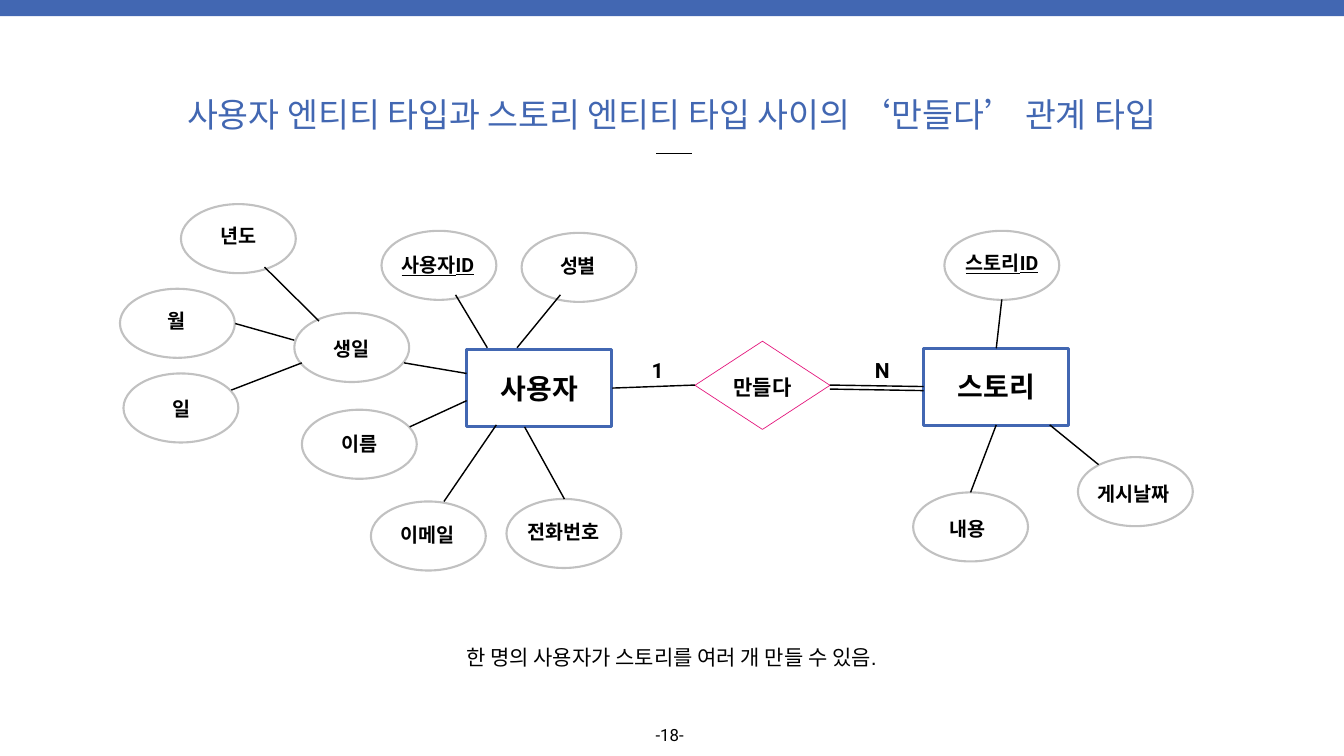
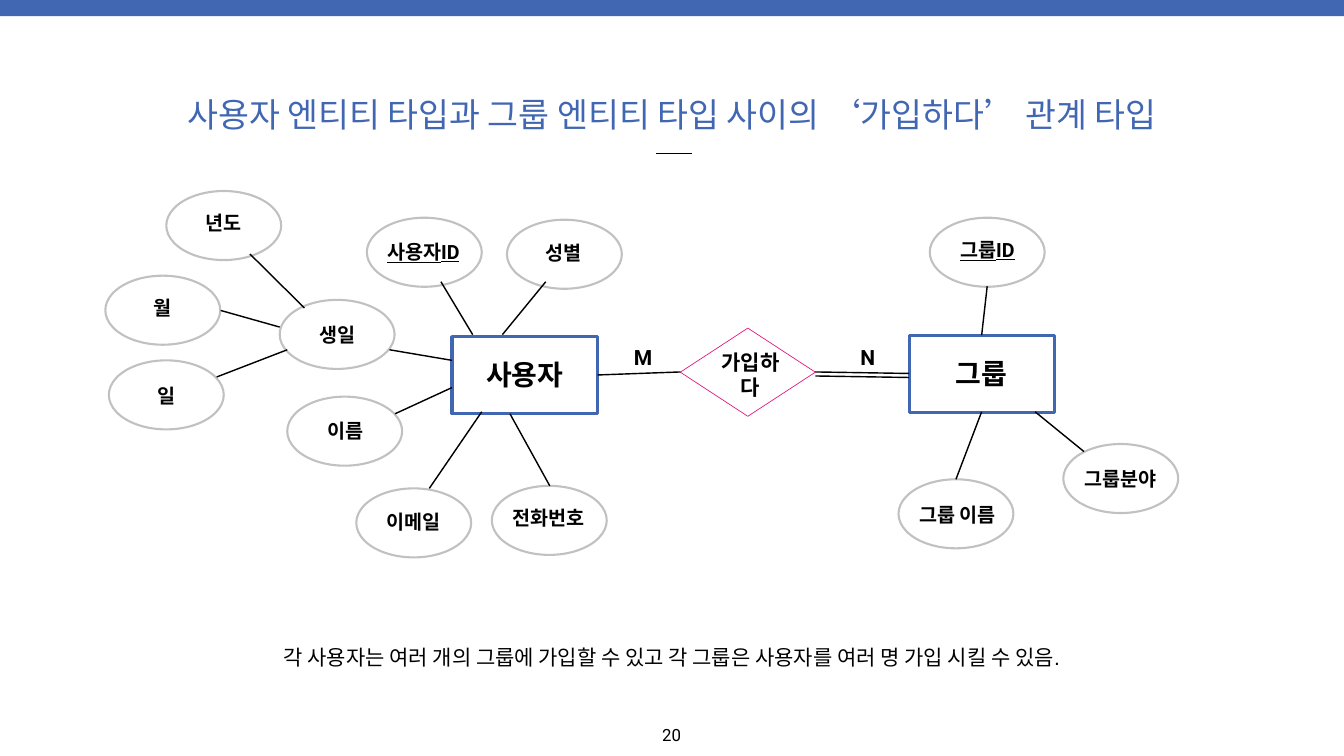
from collections import namedtuple

from lxml import etree
from pptx import Presentation
from pptx.dml.color import RGBColor
from pptx.enum.shapes import MSO_CONNECTOR, MSO_SHAPE as Preset
from pptx.enum.text import MSO_ANCHOR as Anchor, MSO_AUTO_SIZE as AutoSize, PP_ALIGN as Align
from pptx.oxml.ns import qn
from pptx.util import Cm, Pt

BLUE, PINK, GREY, BLACK, WHITE = "4267B2", "E4177D", "C1C1C1", "000000", "FFFFFF"
TITLE_FONT, BODY_FONT = "Arial", "Roboto"
WIDTH, HEIGHT = 26.67, 15
OVAL, ENTITY, DIAMOND = (2.28, 1.37), (2.88, 1.53), (2.68, 1.75)
LABEL_HEIGHT = 0.58

Attribute = namedtuple("Attribute", "text oval label key", defaults=[False])
Diagram = namedtuple("Diagram", "title caption number number_at shift target verb verb_box left_count "
                                "count_at attributes")

USER_ATTRIBUTES = [
    Attribute("사용자ID", (7.57, 4.58), (7.74, 4.97, 1.9), True),
    Attribute("성별", (10.35, 4.62), (10.8, 4.99, 1.34)),
    Attribute("전화번호", (10.05, 9.9), (10.33, 10.25, 1.7)),
    Attribute("이메일", (7.36, 9.95), (7.6, 10.32, 1.78)),
    Attribute("이름", (5.99, 8.13), (6.47, 8.52, 1.34)),
    Attribute("생일", (5.84, 6.21), (6.31, 6.62, 1.34)),
    Attribute("일", (2.45, 7.41), (2.93, 7.82, 1.34)),
    Attribute("월", (2.38, 5.73), (2.84, 6.08, 1.34)),
    Attribute("년도", (3.59, 4.05), (4.06, 4.39, 1.34)),
]

LINKS = [
    (8.13, 6.77, 8.13, 6.77),
    (11.12, 5.85, 10.26, 6.9),
    (9.04, 5.85, 9.67, 6.9),
    (8.02, 7.2, 9.26, 7.41),
    (9.26, 7.95, 8.13, 8.47),
    (9.85, 8.43, 8.81, 9.95),
    (10.41, 8.47, 11.2, 9.9),
    (6.33, 6.37, 5.25, 5.3),
    (5.84, 6.75, 4.67, 6.42),
    (5.99, 7.2, 4.59, 7.74),
    (13.79, 7.64, 12.15, 7.7),
    (16.47, 7.64, 18.33, 7.67),
    (16.47, 7.72, 18.33, 7.75),
    (19.88, 5.94, 19.77, 6.91),
    (20.83, 8.43, 21.8, 9.22),
    (19.77, 8.43, 19.26, 9.77),
]

DIAGRAMS = [
    Diagram(
        title=("사용자 엔티티 타입과 스토리 엔티티 타입 사이의 ‘만들다’ 관계 타입", 3.49, 19.68),
        caption=("한 명의 사용자가 스토리를 여러 개 만들 수 있음.", 8.9, 8.85),
        number="-18-", number_at=(12.95, 0.72), shift=(0, 0),
        target="스토리", verb="만들다", verb_box=(14.36, 7.38, 1.54, 0.62),
        left_count="1", count_at=(12.87, 7.03, 0.35),
        attributes=[
            Attribute("내용", (18.12, 9.77), (18.24, 10.19, 1.93)),
            Attribute("스토리ID", (18.74, 4.58), (18.95, 4.92, 1.87), True),
            Attribute("게시날짜", (21.39, 9.07), (21.52, 9.5, 1.93)),
        ]),
    Diagram(
        title=("사용자 엔티티 타입과 그룹 엔티티 타입 사이의 ‘가입하다’ 관계 타입", 3.26, 20.15),
        caption=("각 사용자는 여러 개의 그룹에 가입할 수 있고 각 그룹은 사용자를 여러 명 가입 시킬 수 있음.",
                 4.89, 16.88),
        number="20", number_at=(13.08, 0.5), shift=(-0.29, -0.26),
        target="그룹", verb="가입하다", verb_box=(14.54, 7.14, 1.29, 1.12),
        left_count="M", count_at=(12.81, 7.03, 0.46),
        attributes=[
            Attribute("그룹 이름", (18.12, 9.77), (18.33, 10.19, 1.93)),
            Attribute("그룹ID", (18.74, 4.58), (18.95, 4.92, 1.87), True),
            Attribute("그룹분야", (21.39, 9.07), (21.39, 9.46, 2.28)),
        ]),
]


def inches(value):
    return Cm(value * 2.54)


def colour(value):
    return RGBColor.from_string(value)


def place(box, left, top, width, height):
    box.left, box.top, box.width, box.height = map(inches, (left, top, width, height))


def write(box, text, size, font=BODY_FONT, ink=BLACK, bold=False, underline=False,
          wrap=True, align=Align.CENTER, anchor=Anchor.MIDDLE):
    frame = box.text_frame
    frame.text = text
    frame.word_wrap = wrap
    frame.auto_size = AutoSize.SHAPE_TO_FIT_TEXT
    frame.vertical_anchor = anchor
    frame.margin_left = frame.margin_right = frame.margin_top = frame.margin_bottom = inches(0.06)
    para = frame.paragraphs[0]
    para.alignment = align
    for span in para.runs:
        span.font.name = font
        span.font.size = Pt(size)
        span.font.bold = bold
        span.font.underline = underline
        span.font.color.rgb = colour(ink)


def add_text(page, text, box, size, **style):
    write(page.shapes.add_textbox(*map(inches, box)), text, size, **style)


def add_figure(page, preset, box, fill=WHITE, line=None, weight=0):
    figure = page.shapes.add_shape(preset, *map(inches, box))
    figure.shadow.inherit = False
    figure.fill.solid()
    figure.fill.fore_color.rgb = colour(fill)
    if line:
        figure.line.color.rgb = colour(line)
        figure.line.width = Pt(weight)
    else:
        figure.line.fill.background()


def add_line(page, ends):
    link = page.shapes.add_connector(MSO_CONNECTOR.STRAIGHT, *map(inches, ends))
    link.line.color.rgb = colour(BLACK)
    link.line.width = Pt(2)
    etree.SubElement(link._element.spPr, qn("a:effectLst"))


def add_frame(page, diagram):
    add_figure(page, Preset.RECTANGLE, (0, -0.03, WIDTH, 0.35), fill=BLUE)
    title, left, width = diagram.title
    place(page.shapes.title, left, 1.81, width, 0.92)
    write(page.shapes.title, title, 48, font=TITLE_FONT, ink=BLUE, wrap=False)
    add_line(page, (13.02, 3.05, 13.73, 3.05))
    caption, left, width = diagram.caption
    add_text(page, caption, (left, 12.72, width, 0.62), 30, font=TITLE_FONT, wrap=False)
    left, width = diagram.number_at
    add_text(page, diagram.number, (left, 14.31, width, 0.5), 24, wrap=False,
             align=Align.LEFT, anchor=Anchor.TOP)


def add_diagram(page, diagram):
    dx, dy = diagram.shift

    def moved(left, top, *size):
        return (left + dx, top + dy, *size)

    attributes = USER_ATTRIBUTES + diagram.attributes
    entities = [("사용자", 9.26, 6.94), (diagram.target, 18.33, 6.91)]

    for attribute in attributes:
        add_figure(page, Preset.OVAL, moved(*attribute.oval, *OVAL), line=GREY, weight=3)
    for name, left, top in entities:
        add_figure(page, Preset.RECTANGLE, moved(left, top, *ENTITY), line=BLUE, weight=4.5)
    add_figure(page, Preset.DIAMOND, moved(13.79, 6.77, *DIAMOND), line=PINK, weight=1)

    for x1, y1, x2, y2 in LINKS:
        add_line(page, moved(x1, y1) + moved(x2, y2))

    for attribute in attributes:
        add_text(page, attribute.text, moved(*attribute.label, LABEL_HEIGHT), 28,
                 bold=True, underline=attribute.key)
    for name, left, top in entities:
        add_text(page, name, moved(left + 0.15, top + 0.36, 2.58, 0.79), 40, bold=True)
    add_text(page, diagram.verb, moved(*diagram.verb_box), 30, bold=True)
    for count, spot in ((diagram.left_count, diagram.count_at), ("N", (17.3, 7.04, 0.42))):
        add_text(page, count, moved(*spot, 0.62), 30, bold=True, wrap=False)


def main():
    deck = Presentation()
    deck.slide_width, deck.slide_height = inches(WIDTH), inches(HEIGHT)
    title_only = deck.slide_layouts[5]
    for diagram in DIAGRAMS:
        page = deck.slides.add_slide(title_only)
        add_frame(page, diagram)
        add_diagram(page, diagram)
    deck.save("out.pptx")


main()
